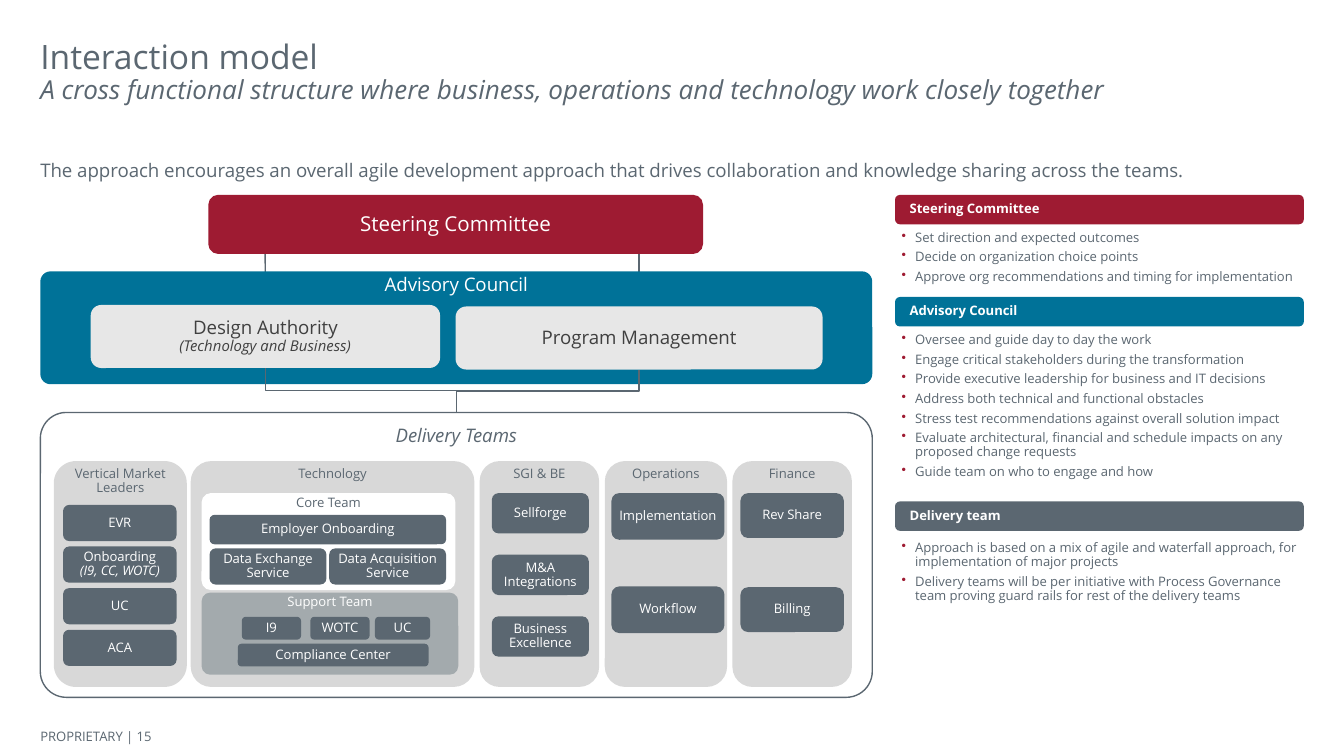
"""Build the interaction model slide: an organisation chart with a key of duties."""
from lxml import etree
from pptx import Presentation
from pptx import util as u
from pptx.dml import color
from pptx.enum import shapes, text
from pptx.oxml import ns

HUES = {"slate": "5B6771", "blue": "007298", "red": "9E1B32", "white": "FFFFFF",
        "pale": "E7E7E7", "panel": "D8D8D8", "mid": "A3AAAD", "ink": "404040"}
SIDES = {"left": text.PP_ALIGN.LEFT, "mid": text.PP_ALIGN.CENTER}
TOP, MID = text.MSO_ANCHOR.TOP, text.MSO_ANCHOR.MIDDLE


def rgb(hue):
    return color.RGBColor.from_string(HUES[hue])


def mark(par):
    props = par._p.get_or_add_pPr()
    props.set("marL", str(u.Pt(7.2)))
    props.set("indent", str(-u.Pt(7.2)))
    tint = etree.SubElement(props, ns.qn("a:buClr"))
    etree.SubElement(tint, ns.qn("a:srgbClr"), val=HUES["red"])
    etree.SubElement(props, ns.qn("a:buChar"), char="•")


def write(frame, *lines, size=7, hue="slate", bold=False, side="left", anchor=TOP,
          pad=(0, 0, 0, 0), dots=False):
    """Each line is a string, or a pair of string and size for italics."""
    frame.word_wrap = True
    frame.auto_size = text.MSO_AUTO_SIZE.NONE
    frame.vertical_anchor = anchor
    (frame.margin_left, frame.margin_top,
     frame.margin_right, frame.margin_bottom) = map(u.Pt, pad)
    for i, line in enumerate(lines):
        par = frame.add_paragraph() if i else frame.paragraphs[0]
        if dots:
            mark(par)
        par.alignment = SIDES[side]
        par.line_spacing = 0.9
        par.space_before = u.Pt(3 if dots and i else 0)
        slant = isinstance(line, tuple)
        words, pts = line if slant else (line, size)
        run = par.add_run()
        run.text = words
        font = run.font
        font.name, font.size, font.bold, font.italic = "Open Sans", u.Pt(pts), bold, slant
        font.color.rgb = rgb(hue)


class Board:
    """Hold the style and the current slide."""

    def __init__(self, deck):
        self.slide = deck.slides.add_slide(deck.slide_layouts[5])
        self.items = self.slide.shapes

    def title(self, box, *lines, **style):
        head = self.items.title
        head.left, head.top, head.width, head.height = map(u.Pt, box)
        write(head.text_frame, *lines, **style)

    def note(self, box, *lines, **style):
        write(self.items.add_textbox(*map(u.Pt, box)).text_frame, *lines, **style)

    def block(self, box, fill, *lines, curve=0.167, edge=None, side="mid", **style):
        item = self.items.add_shape(shapes.MSO_SHAPE.ROUNDED_RECTANGLE, *map(u.Pt, box))
        item.shadow.inherit = False
        item.adjustments[0] = curve
        item.fill.solid()
        item.fill.fore_color.rgb = rgb(fill)
        if edge:
            item.line.color.rgb = rgb(edge)
            item.line.width = u.Pt(0.75)
        else:
            item.line.fill.background()
        write(item.text_frame, *lines, side=side, **style)
        return item

    def panel(self, box, *lines, **style):
        self.block(box, "panel", *lines, **style)

    def team(self, box, *lines):
        self.block(box, "slate", *lines, hue="white", anchor=MID)

    def link(self, kind, *ends):
        line = self.items.add_connector(kind, *map(u.Pt, ends))
        line.line.color.rgb = rgb("slate")
        line.line.width = u.Pt(0.75)
        etree.SubElement(line._element.spPr, ns.qn("a:effectLst"))
        return line

    def elbow(self, first, exit, last, entry):
        """Join two shapes by a line that leaves and arrives upright."""
        line = self.link(shapes.MSO_CONNECTOR.ELBOW, 0, 0, 0, 0)
        line.begin_connect(first, exit)
        line.end_connect(last, entry)
        wide, tall = line.end_x - line.begin_x, line.end_y - line.begin_y
        x, y = line.begin_x + wide // 2, line.begin_y + tall // 2
        line.width, line.height = abs(tall), abs(wide)
        line.left, line.top = x - abs(tall) // 2, y - abs(wide) // 2
        form = line._element.spPr.find(ns.qn("a:xfrm"))
        form.attrib.pop("flipV", None)
        form.set("rot", "16200000")
        form.set("flipH", "1" if tall > 0 else "0")


def chart(board):
    straight = shapes.MSO_CONNECTOR.STRAIGHT
    drops = [board.link(straight, x, y, x, 164) for x, y in ((142, 126.7), (342.4, 134.6))]
    board.block((21.6, 145.4, 445.7, 60.5), "blue", "Advisory Council", curve=0.091,
                size=10, hue="white", pad=(7.2, 0.7, 7.2, 3.6))
    teams = board.block((21.6, 221, 445.7, 152.6), "white", ("Delivery Teams", 10),
                        curve=0.091, edge="slate", pad=(7.2, 3.6, 7.2, 3.6))
    board.block((111.6, 104.4, 265, 31.7), "red", "Steering Committee",
                size=11, hue="white", anchor=MID)
    plan = board.block((244.1, 164.2, 196.6, 33.8), "pale", "Program Management",
                       size=10, hue="ink", anchor=MID)
    design = board.block((48.6, 163.4, 187.2, 33.8), "pale", "Design Authority",
                         ("(Technology and Business)", 8), size=10, hue="ink", anchor=MID)
    for drop, goal in zip(drops, (design, plan)):
        drop.end_connect(goal, 0)
    board.elbow(design, 2, teams, 0)
    board.elbow(teams, 0, plan, 2)


def columns(board):
    for x, wide, name, curve in (
            (28.8, 71.3, "Vertical Market Leaders", 0.167), (102.2, 152, "Technology", 0.091),
            (257, 64, "SGI & BE", 0.167), (324, 65.5, "Operations", 0.167),
            (392.4, 64, "Finance", 0.167)):
        board.panel((x, 247, wide, 121), name, curve=curve)

    for x, top, step, wide, tall, names in (
            (33.8, 270.5, 22.3, 60.8, 19.4,
             [["EVR"], ["Onboarding", ("(I9, CC, WOTC)", 7)], ["UC"], ["ACA"]]),
            (263.5, 264.2, 33, 52, 21.6,
             [["Sellforge"], ["M&A Integrations"], ["Business Excellence"]]),
            (327.6, 264.2, 50, 60.5, 25, [["Implementation"], ["Workflow"]]),
            (396.7, 264.2, 50.4, 55.4, 24, [["Rev Share"], ["Billing"]])):
        for i, lines in enumerate(names):
            board.team((x, top + i * step, wide, tall), *lines)

    board.block((108, 264.2, 136, 52), "white", "Core Team", curve=0.097)
    board.block((108, 317.5, 137.5, 44), "mid", "Support Team", curve=0.104, hue="white")
    board.team((112.3, 275.8, 126.7, 15.8), "Employer Onboarding")
    for x, name in ((112.3, "Data Exchange"), (176.4, "Data Acquisition")):
        board.team((x, 293.8, 62.6, 19.4), name, "Service")
    for x, wide, name in ((129.6, 31.7, "I9"), (166.3, 31.7, "WOTC"), (200.9, 29.5, "UC")):
        board.team((x, 330.5, wide, 12.2), name)
    board.team((127.4, 344.9, 102.2, 12.2), "Compliance Center")


def duties(board):
    for hue, name, top, start, tall, lines in (
            ("red", "Steering Committee", 104.4, 120.2, 39, [
                "Set direction and expected outcomes",
                "Decide on organization choice points",
                "Approve org recommendations and timing for implementation"]),
            ("blue", "Advisory Council", 159.1, 175, 93.6, [
                "Oversee and guide day to day the work",
                "Engage critical stakeholders during the transformation",
                "Provide executive leadership for business and IT decisions",
                "Address both technical and functional obstacles",
                "Stress test recommendations against overall solution impact",
                "Evaluate architectural, financial and schedule impacts on any "
                "proposed change requests",
                "Guide team on who to engage and how"]),
            ("slate", "Delivery team", 268.6, 286.6, 44, [
                "Approach is based on a mix of agile and waterfall approach, for "
                "implementation of major projects",
                "Delivery teams will be per initiative with Process Governance "
                "team proving guard rails for rest of the delivery teams"])):
        board.block((479.5, top, 219, 15.8), hue, name, hue="white", bold=True,
                    side="left", anchor=MID, pad=(7.2, 0, 7.2, 0))
        board.note((479.5, start, 219, tall), *lines, dots=True, pad=(3.6,) * 4)


def main():
    deck = Presentation()
    deck.slide_width, deck.slide_height = u.Pt(720), u.Pt(405)
    board = Board(deck)
    board.title((21.6, 21.6, 676.8, 54), "Interaction model",
                ("A cross functional structure where business, operations and technology "
                 "work closely together", 14), size=18)
    board.note((21.6, 86.4, 676.8, 12.2),
               "The approach encourages an overall agile development approach that drives "
               "collaboration and knowledge sharing across the teams.", size=10)
    chart(board)
    columns(board)
    duties(board)
    board.note((21.6, 388, 99.4, 13.7), "PROPRIETARY | 15", anchor=MID)
    deck.save("out.pptx")


if __name__ == "__main__":
    main()
